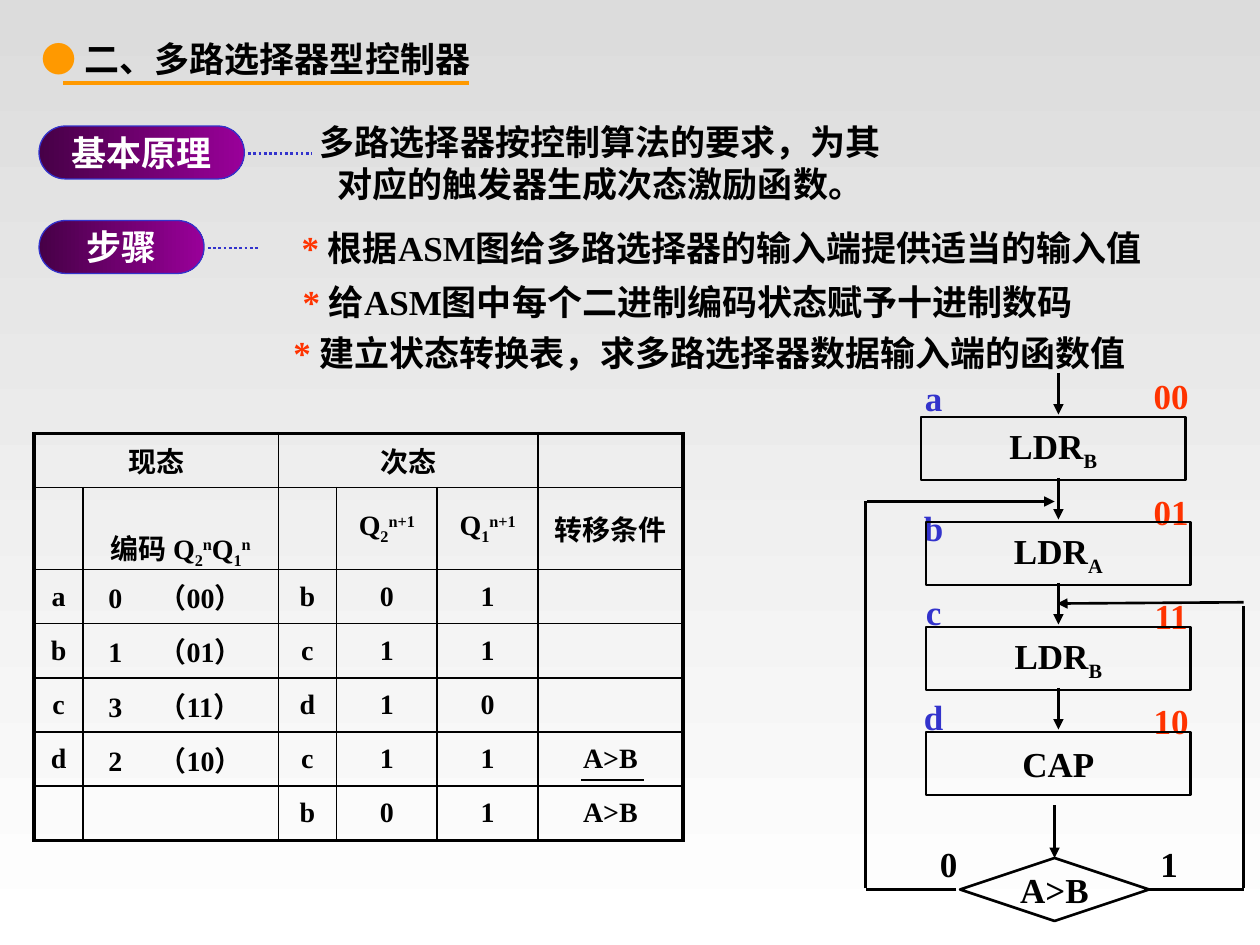
from dataclasses import dataclass

from lxml import etree
from pptx import Presentation
from pptx.dml.color import RGBColor
from pptx.enum.dml import MSO_LINE
from pptx.enum.shapes import MSO_CONNECTOR, MSO_SHAPE
from pptx.enum.text import MSO_ANCHOR, PP_ALIGN
from pptx.oxml.ns import qn
from pptx.util import Inches, Pt

LEFT, CENTER = PP_ALIGN.LEFT, PP_ALIGN.CENTER
TOP, MIDDLE, BOTTOM = MSO_ANCHOR.TOP, MSO_ANCHOR.MIDDLE, MSO_ANCHOR.BOTTOM
STRAIGHT, DOTTED = MSO_CONNECTOR.STRAIGHT, MSO_LINE.ROUND_DOT
RECT, DECISION = MSO_SHAPE.RECTANGLE, MSO_SHAPE.FLOWCHART_DECISION
PILL = MSO_SHAPE.ROUNDED_RECTANGLE


@dataclass(frozen=True)
class Theme:
    font: str = "Times New Roman"
    body: int = 20
    cell: int = 16
    black: str = "000000"
    white: str = "FFFFFF"
    orange: str = "FF9900"
    red: str = "FF3300"
    blue: str = "3333CC"
    pill: tuple = ("470047", "990099")
    background: tuple = ("DCDCDC", "FFFFFF")


theme = Theme()
SUB, SUP = -25000, 30000


def write(frame, runs, color=theme.black, size=theme.body, align=CENTER):
    """Fill one paragraph; a run is text, (text, baseline) or (text, colour)."""
    paragraph = frame.paragraphs[0]
    paragraph.alignment = align
    font = paragraph.font
    font.name, font.size, font.bold = theme.font, Pt(size), True
    font.color.rgb = RGBColor.from_string(color)
    for part in runs:
        text, special = (part, None) if isinstance(part, str) else part
        run = paragraph.add_run()
        run.text = text
        if isinstance(special, int):
            run.font._element.set("baseline", str(special))
        elif special:
            run.font.color.rgb = RGBColor.from_string(special)


def connect(x1, y1, x2, y2, arrow=False, color=theme.black, width=1.5, dash=None):
    line = slide.shapes.add_connector(
        STRAIGHT, Inches(x1), Inches(y1), Inches(x2), Inches(y2))
    line.line.color.rgb = RGBColor.from_string(color)
    line.line.width = Pt(width)
    if dash:
        line.line.dash_style = dash
    properties = line._element.spPr
    if arrow:
        etree.SubElement(properties.find(qn("a:ln")), qn("a:tailEnd"), type="triangle")
    etree.SubElement(properties, qn("a:effectLst"))


prs = Presentation()
prs.slide_width, prs.slide_height = Inches(10), Inches(7.5)
slide = prs.slides.add_slide(prs.slide_layouts[5])

# Background
backdrop = slide.background.fill
backdrop.gradient()
backdrop.gradient_angle = 270
for stop, position, color in zip(backdrop.gradient_stops, (0, 1), theme.background):
    stop.position, stop.color.rgb = position, RGBColor.from_string(color)

# Title with its rule
title = slide.shapes.title
title.left, title.top = Inches(0.23), Inches(0.25)
title.width, title.height = Inches(4.83), Inches(0.43)
title.text_frame.vertical_anchor = TOP
write(title.text_frame, [("● ", theme.orange), "二、多路选择器型控制器"], align=LEFT)
connect(0.5, 0.66, 3.72, 0.66, color=theme.orange, width=2.25)

# Topic pills with dotted leaders
for topic, top, width, leader_end in [("基本原理", 1, 1.63, 2.48), ("步骤", 1.75, 1.31, 2.06)]:
    pill = slide.shapes.add_shape(
        PILL, Inches(0.31), Inches(top), Inches(width), Inches(0.42))
    pill.adjustments[0] = 0.5
    pill.shadow.inherit = False
    pill.fill.gradient()
    pill.fill.gradient_angle = 0
    for stop, position, color in zip(pill.fill.gradient_stops, (0, 1), theme.pill):
        stop.position, stop.color.rgb = position, RGBColor.from_string(color)
    pill.line.color.rgb = RGBColor.from_string(theme.blue)
    pill.line.width = Pt(0.75)
    frame = pill.text_frame
    frame.margin_left = frame.margin_right = frame.margin_top = frame.margin_bottom = 0
    frame.word_wrap, frame.vertical_anchor = False, MIDDLE
    write(frame, [topic], theme.white)
    connect(0.34 + width, top + 0.22, leader_end, top + 0.22,
            color=theme.blue, dash=DOTTED)

# Text boxes: left, top, width, height, runs, colour, alignment
star = ("* ", theme.red)
texts = [
    (2.4, 0.91, 4.73, 0.77, ["多路选择器按控制算法的要求，为其对应的触发器生成次态激励函数。"],
     theme.black, CENTER),
    (1.98, 1.75, 7.5, 0.43, [star, "根据ASM图给多路选择器的输入端提供适当的输入值"], theme.black, CENTER),
    (1.96, 2.18, 7, 0.43, [star, "给ASM图中每个二进制编码状态赋予十进制数码"], theme.black, CENTER),
    (2.23, 2.58, 7, 0.43, [star, "建立状态转换表，求多路选择器数据输入端的函数值"], theme.black, LEFT),
    (7.28, 6.64, 0.5, 0.43, ["0"], theme.black, CENTER),
    (9.03, 6.64, 0.5, 0.43, ["1"], theme.black, CENTER),
]
for state, state_top, code, code_top in [
        ("a", 2.94, "00", 2.92), ("b", 3.97, "01", 3.84),
        ("c", 4.64, "11", 4.67), ("d", 5.47, "10", 5.5)]:
    texts.append((7.16, state_top, 0.5, 0.43, [state], theme.blue, CENTER))
    texts.append((8.92, code_top, 0.75, 0.43, [code], theme.red, CENTER))
for left, top, width, height, runs, color, align in texts:
    frame = slide.shapes.add_textbox(
        Inches(left), Inches(top), Inches(width), Inches(height)).text_frame
    frame.word_wrap = True
    write(frame, runs, color, align=align)

# ASM chart: four state boxes, the decision, and the arrows into each state
step = 2.5 / 3
nodes = [(DECISION, 7.62, 6.81, 1.5, ["A>B"])]
for i, action in enumerate([["LDR", ("B", SUB)], ["LDR", ("A", SUB)],
                            ["LDR", ("B", SUB)], ["CAP"]]):
    nodes.append((RECT, 7.35 if i else 7.31, 3.31 + i * step, 2.1, action))
    connect(8.4, 2.96 + i * step, 8.4, 3.29 + i * step, arrow=True)
for kind, left, top, width, runs in nodes:
    node = slide.shapes.add_shape(
        kind, Inches(left), Inches(top), Inches(width), Inches(0.5))
    node.shadow.inherit = False
    node.fill.background()
    node.line.color.rgb = RGBColor.from_string(theme.black)
    node.line.width = Pt(1.5)
    node.text_frame.word_wrap = False
    node.text_frame.vertical_anchor = MIDDLE
    write(node.text_frame, runs)

# Decision input and the two feedback paths
connect(8.37, 6.39, 8.37, 6.81, arrow=True)
connect(7.59, 7.06, 6.87, 7.06)
connect(6.87, 7.05, 6.87, 3.98)
connect(6.88, 3.98, 8.37, 3.98, arrow=True)
connect(9.87, 7.06, 9.12, 7.06)
connect(9.87, 7.05, 9.87, 4.81)
connect(9.87, 4.78, 8.39, 4.79, arrow=True)

# State transition table
rows = [
    ["现态", "", "次态", "", "", ""],
    ["", ["编码 Q", ("2", SUB), ("n", SUP), "Q", ("1", SUB), ("n", SUP)], "",
     ["Q", ("2", SUB), ("n+1", SUP)], ["Q", ("1", SUB), ("n+1", SUP)], "转移条件"],
    ["a", "0\t（00）", "b", "0", "1", ""],
    ["b", "1\t（01）", "c", "1", "1", ""],
    ["c", "3\t（11）", "d", "1", "0", ""],
    ["d", "2\t（10）", "c", "1", "1", "A>B"],
    ["", "", "b", "0", "1", "A>B"],
]
columns = [0.39, 1.55, 0.46, 0.8, 0.8, 1.15]
heights = [0.43, 0.65] + [0.43] * 5
table = slide.shapes.add_table(
    len(rows), len(columns), Inches(0.27), Inches(3.44),
    Inches(sum(columns)), Inches(sum(heights))).table
table.first_row = table.horz_banding = False
for column, width in zip(table.columns, columns):
    column.width = Inches(width)
for row, height in zip(table.rows, heights):
    row.height = Inches(height)
table.cell(0, 0).merge(table.cell(0, 1))
table.cell(0, 2).merge(table.cell(0, 4))

for r, row in enumerate(rows):
    for c, content in enumerate(row):
        cell = table.cell(r, c)
        cell.margin_left = cell.margin_right = cell.margin_top = cell.margin_bottom = 0
        cell.vertical_anchor = BOTTOM if (r, c) == (1, 1) else MIDDLE
        outer = {"L": c == 0, "R": c == len(columns) - 1,
                 "T": r == 0, "B": r == len(rows) - 1}
        for side, is_outer in outer.items():
            border = etree.SubElement(cell._tc.get_or_add_tcPr(), qn(f"a:ln{side}"),
                                      w=str(Pt(2.25 if is_outer else 1)))
            ink = etree.SubElement(border, qn("a:solidFill"))
            etree.SubElement(ink, qn("a:srgbClr"), val=theme.black)
        cell.fill.background()
        if not content:
            continue
        align = CENTER
        if "\t" in content:
            align, cell.margin_left = LEFT, Inches(0.2)
            tabs = etree.SubElement(
                cell.text_frame.paragraphs[0]._p.get_or_add_pPr(), qn("a:tabLst"))
            etree.SubElement(tabs, qn("a:tab"), pos=str(Inches(0.4)), algn="l")
        runs = [content] if isinstance(content, str) else content
        write(cell.text_frame, runs, size=theme.cell, align=align)

# Negation bar between the last two conditions
connect(4.61, 6.19, 5.11, 6.19)

prs.save("out.pptx")
